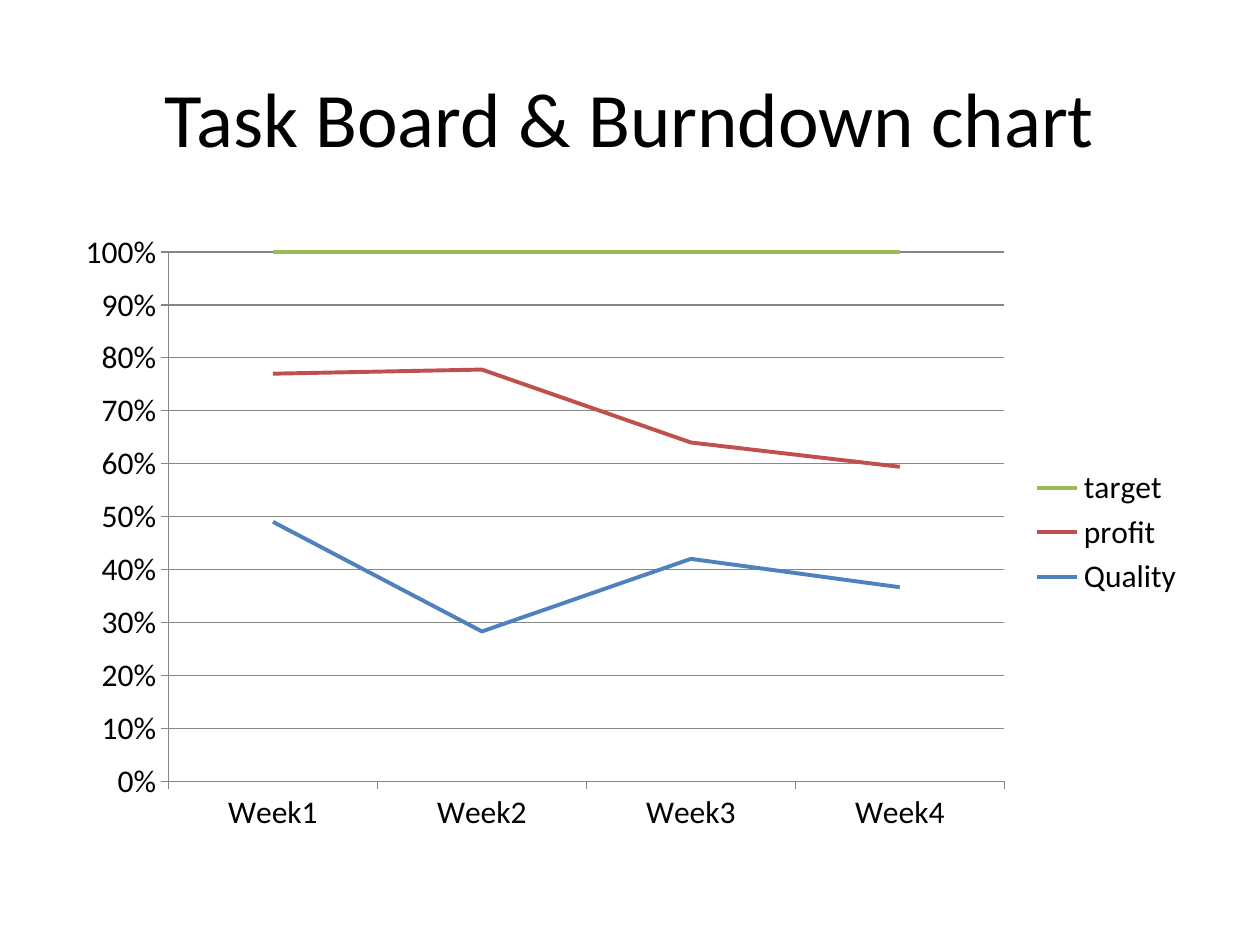
"""Build a slide with a title and a stacked percentage line chart."""
from dataclasses import dataclass

from pptx import Presentation
from pptx.chart.data import CategoryChartData as Data
from pptx.dml.color import RGBColor as Rgb
from pptx.enum.chart import XL_CHART_TYPE as Kind
from pptx.enum.chart import XL_LEGEND_POSITION as Side
from pptx.enum.chart import XL_MARKER_STYLE as Mark
from pptx.enum.chart import XL_TICK_MARK as Tick
from pptx.enum.text import MSO_ANCHOR as Anchor
from pptx.enum.text import PP_ALIGN as Align
from pptx.util import Pt

COLORS = {"text": "000000", "grid": "868686", "blue": "4F81BD",
          "red": "C0504D", "green": "9BBB59"}
FONT = "Calibri"
WEEKS = [f"Week{n}" for n in range(1, 5)]
LEFT, WIDTH = Pt(36), Pt(648)


@dataclass
class Trend:
    name: str
    vals: tuple[int, ...]
    color: str


TRENDS = [
    Trend("Quality", (49, 28, 42, 37), "blue"),
    Trend("profit", (28, 49, 22, 23), "red"),
    Trend("target", (23, 22, 36, 41), "green"),
]


def tint(key: str) -> Rgb:
    return Rgb.from_string(COLORS[key])


def set_font(font, size: float) -> None:
    font.name, font.size = FONT, Pt(size)
    font.color.rgb = tint("text")


def set_line(line, key: str, width: float) -> None:
    line.color.rgb = tint(key)
    line.width = Pt(width)


def add_title(slide, text: str) -> None:
    frame = slide.shapes.add_textbox(LEFT, Pt(21.6), WIDTH, Pt(90)).text_frame
    frame.word_wrap = True
    frame.vertical_anchor = Anchor.MIDDLE
    frame.text = text
    para = frame.paragraphs[0]
    para.alignment = Align.CENTER
    set_font(para.runs[0].font, 44)


def add_trends(slide, trends: list[Trend]) -> None:
    data = Data()
    data.categories = WEEKS
    for trend in trends:
        data.add_series(trend.name, trend.vals)
    chart = slide.shapes.add_chart(
        Kind.LINE_STACKED_100, LEFT, Pt(126), WIDTH, Pt(356.4), data).chart
    chart.has_title = False
    set_font(chart.font, 18)
    chart.has_legend = True
    chart.legend.position = Side.RIGHT
    chart.legend.include_in_layout = False
    for axis in (chart.category_axis, chart.value_axis):
        axis.major_tick_mark = Tick.OUTSIDE
        axis.minor_tick_mark = Tick.NONE
        set_line(axis.format.line, "grid", 0.75)
    scale = chart.value_axis
    scale.has_major_gridlines = True
    set_line(scale.major_gridlines.format.line, "grid", 0.75)
    scale.tick_labels.number_format = "0%"
    scale.tick_labels.number_format_is_linked = False
    plot = chart.plots[0]
    plot.vary_by_categories = False
    for series, trend in zip(plot.series, trends):
        series.smooth = False
        series.marker.style = Mark.NONE
        set_line(series.format.line, trend.color, 2.25)


def main() -> None:
    deck = Presentation()
    deck.slide_width, deck.slide_height = Pt(720), Pt(540)
    slide = deck.slides.add_slide(deck.slide_layouts[6])
    add_title(slide, "Task Board & Burndown chart")
    add_trends(slide, TRENDS)
    deck.save("out.pptx")


main()
